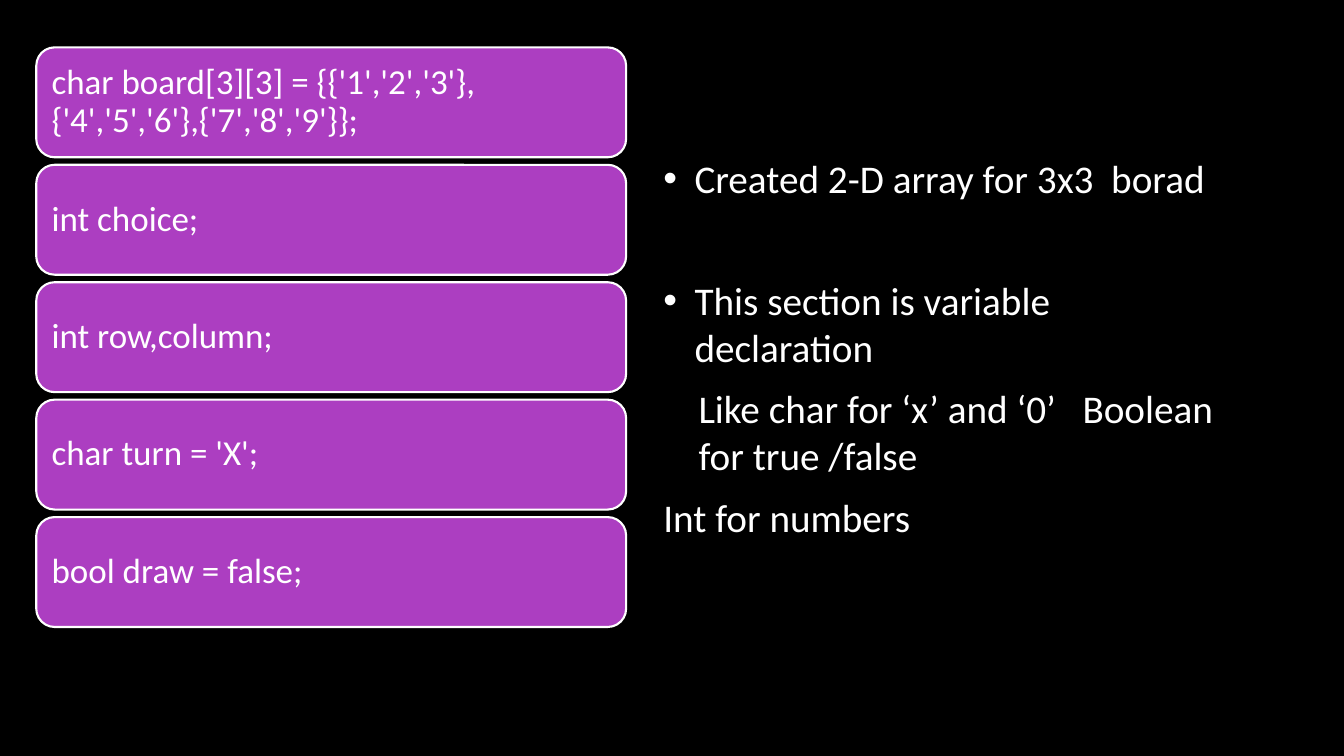
"""Build the slide that explains the variables of a board game."""
from dataclasses import dataclass
from typing import Any

from lxml.etree import SubElement
from pptx import Presentation
from pptx.dml.color import RGBColor
from pptx.enum.shapes import MSO_SHAPE
from pptx.enum.text import MSO_ANCHOR, PP_ALIGN
from pptx.oxml.ns import qn
from pptx.util import Inches, Pt

WHITE = "FFFFFF"
PURPLE = "AC3EC1"
BLACK = "000000"

CARD_LEFT, CARD_WIDTH, CARD_HEIGHT = 0.36, 5.85, 1.09
FIRST_CARD_TOP, LAST_CARD_TOP = 0.47, 5.13
SPACE_WIDTH = 6.33


@dataclass
class Note:
    """A paragraph of notes, with extra spaces between its two parts."""

    start: str
    end: str = ""
    extra_spaces: int = 0
    bullet: bool = False
    margin: float = 0
    space_after: float = 10


DECLARATIONS = [
    "char board[3][3] = {{'1','2','3'},{'4','5','6'},{'7','8','9'}};",
    "int choice;",
    "int row,column;",
    "char turn = 'X';",
    "bool draw = false;",
]

NOTES = [
    Note("Created 2-D array for 3x3", "borad", 1, True, 0.31, 53.6),
    Note("This section is variable declaration", bullet=True, margin=0.31),
    Note("Like char for ‘x’ and ‘0’", "Boolean for true /false", 2, margin=0.35),
    Note("Int for numbers"),
]


def color(value: str) -> RGBColor:
    """Turn a hex string into a colour."""
    return RGBColor.from_string(value)


def set_format(target: Any, values: dict[str, Any]) -> None:
    """Set each named attribute of the target."""
    for name, value in values.items():
        setattr(target, name, value)


def add_span(para: Any, text: str, size: float) -> Any:
    """Add a white run of text to a paragraph."""
    span = para.add_run()
    span.text = text
    set_format(span.font, {"name": "Calibri", "size": Pt(size)})
    span.font.color.rgb = color(WHITE)
    return span


def add_card(page: Any, text: str, top: float) -> None:
    """Draw one rounded card with a declaration."""
    card = page.shapes.add_shape(
        MSO_SHAPE.ROUNDED_RECTANGLE,
        Inches(CARD_LEFT), Inches(top), Inches(CARD_WIDTH), Inches(CARD_HEIGHT),
    )
    card.shadow.inherit = False
    card.fill.solid()
    card.fill.fore_color.rgb = color(PURPLE)
    card.line.color.rgb = color(WHITE)
    card.line.width = Pt(1.5)
    set_format(card.text_frame, {
        "word_wrap": True, "vertical_anchor": MSO_ANCHOR.MIDDLE,
        "margin_left": Inches(0.1), "margin_right": Inches(0.1),
        "margin_top": Inches(0.1), "margin_bottom": Inches(0.1),
    })
    para = card.text_frame.paragraphs[0]
    set_format(para, {"alignment": PP_ALIGN.LEFT, "line_spacing": 0.9})
    add_span(para, text, 25)


def add_note(para: Any, note: Note) -> None:
    """Write one note into a paragraph."""
    set_format(para, {"alignment": PP_ALIGN.LEFT, "space_after": Pt(note.space_after)})
    properties = para._p.get_or_add_pPr()
    properties.set("marL", str(Inches(note.margin)))
    if note.bullet:
        properties.set("indent", str(-Inches(note.margin)))
        SubElement(properties, qn("a:buFont"), typeface="Arial")
        SubElement(properties, qn("a:buChar"), char="•")
    add_span(para, note.start, 28)
    if note.end:
        gap = add_span(para, " ", 28)
        spacing = round(note.extra_spaces * SPACE_WIDTH * 100)
        gap.font._element.set("spc", str(spacing))
        add_span(para, note.end, 28)


def add_notes(page: Any, notes: list[Note]) -> None:
    """Draw the column of notes."""
    box = page.shapes.add_textbox(Inches(6.48), Inches(0.86), Inches(5.89), Inches(5.61))
    frame = box.text_frame
    set_format(frame, {
        "word_wrap": True, "vertical_anchor": MSO_ANCHOR.MIDDLE,
        "margin_bottom": Inches(0.49),
    })
    for index, note in enumerate(notes):
        add_note(frame.add_paragraph() if index else frame.paragraphs[0], note)


def main() -> None:
    """Build and save the deck."""
    deck = Presentation()
    set_format(deck, {"slide_width": Inches(13.33), "slide_height": Inches(7.5)})
    page = deck.slides.add_slide(deck.slide_layouts[6])
    page.background.fill.solid()
    page.background.fill.fore_color.rgb = color(BLACK)
    pitch = (LAST_CARD_TOP - FIRST_CARD_TOP) / (len(DECLARATIONS) - 1)
    for index, text in enumerate(DECLARATIONS):
        add_card(page, text, FIRST_CARD_TOP + index * pitch)
    add_notes(page, NOTES)
    deck.save("out.pptx")


if __name__ == "__main__":
    main()
